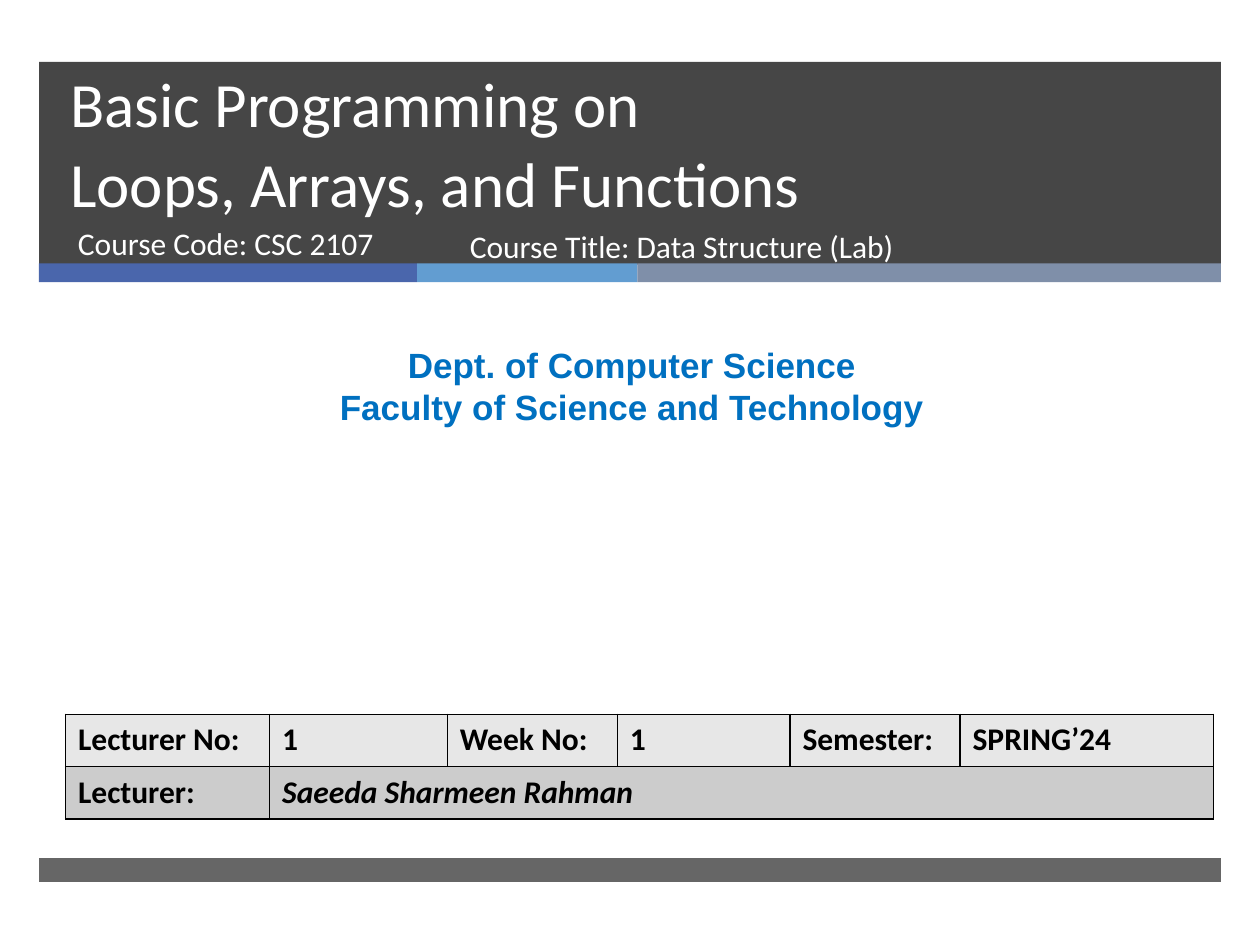
"""Build the opening slide of a data structure lab lecture."""
import pptx
import pptx.util
import pptx.dml.color
import pptx.enum.shapes
import pptx.enum.text
import pptx.oxml.ns
from lxml import etree

Inches, Pt = pptx.util.Inches, pptx.util.Pt
ALIGN, ANCHOR = pptx.enum.text.PP_ALIGN, pptx.enum.text.MSO_ANCHOR
qn = pptx.oxml.ns.qn

COLORS = {"dark": "262626", "blue": "4A66AC", "sky": "629DD1", "slate": "7F8FA9",
          "white": "FFFFFF", "black": "000000", "department": "0070C0",
          "light row": "E7E7E7", "dark row": "CCCCCC"}

MARGIN, BAND_WIDTH = 0.31, 9.38
BANDS = [(0.49, 1.61, 85), (6.81, 0.19, 70)]
STRIPE_TOP, STRIPE_HEIGHT = 2.09, 0.15
STRIPES = [("blue", 3), ("sky", 1.75), ("slate", 4.63)]

HEADINGS = [
    (["Basic Programming on\vLoops, Arrays, and Functions"], (0.46, 0.61, 8.54, 1.19),
     dict(size=36, anchor=ANCHOR.BOTTOM, spacing=46)),
    (["Course Code: CSC 2107"], (0.52, 1.73, 3.05, 0.53), {}),
    (["Dept. of Computer Science", "Faculty of Science and Technology"],
     (0.08, 2.68, 9.87, 0.77),
     dict(size=20, font="Arial", color="department", bold=True, align=ALIGN.CENTER)),
    (["Course Title: Data Structure (Lab)"], (3.63, 1.75, 4.55, 0.53), {}),
]

DETAILS = [["Lecturer No:", "1", "Week No:", "1", "Semester:", "SPRING’24"],
           ["Lecturer:", "Saeeda Sharmeen Rahman"]]
COLUMN_WIDTHS = [1.62, 1.41, 1.35, 1.37, 1.35, 2.01]
ROW_HEIGHT = 0.415


def rgb(name):
    return pptx.dml.color.RGBColor.from_string(COLORS[name])


def write(frame, lines, size=18, font="Calibri", color="white", bold=False, italic=False,
          align=ALIGN.LEFT, anchor=ANCHOR.TOP, spacing=None):
    frame.word_wrap = True
    frame.vertical_anchor = anchor
    for index, line in enumerate(lines):
        paragraph = frame.add_paragraph() if index else frame.paragraphs[0]
        paragraph.text = line
        paragraph.alignment = align
        if spacing:
            paragraph.line_spacing = Pt(spacing)
        for run in paragraph.runs:
            run.font.size, run.font.name = Pt(size), font
            run.font.bold, run.font.italic = bold, italic
            run.font.color.rgb = rgb(color)


def add_bar(left, top, width, height, color, opacity=100):
    bar = slide.shapes.add_shape(pptx.enum.shapes.MSO_SHAPE.RECTANGLE,
                                 *map(Inches, (left, top, width, height)))
    bar.shadow.inherit = False
    bar.line.fill.background()
    bar.fill.solid()
    bar.fill.fore_color.rgb = rgb(color)
    if opacity < 100:
        tint = bar.fill._xPr.find(".//" + qn("a:srgbClr"))
        etree.SubElement(tint, qn("a:alpha"), val=str(opacity * 1000))


def add_borders(cell):
    properties = cell._tc.get_or_add_tcPr()
    for side in ("lnL", "lnR", "lnT", "lnB"):
        border = etree.SubElement(properties, qn("a:" + side), w=str(Pt(1)))
        fill = etree.SubElement(border, qn("a:solidFill"))
        etree.SubElement(fill, qn("a:srgbClr"), val=COLORS["black"])


deck = pptx.Presentation()
deck.slide_width, deck.slide_height = Inches(10), Inches(7.5)
slide = deck.slides.add_slide(deck.slide_layouts[6])

for top, height, opacity in BANDS:
    add_bar(MARGIN, top, BAND_WIDTH, height, "dark", opacity)
stripe_left = MARGIN
for color, width in STRIPES:
    add_bar(stripe_left, STRIPE_TOP, width, STRIPE_HEIGHT, color)
    stripe_left += width

for lines, place, style in HEADINGS:
    heading = slide.shapes.add_textbox(*map(Inches, place))
    write(heading.text_frame, lines, **style)

details = slide.shapes.add_table(
    len(DETAILS), len(COLUMN_WIDTHS), Inches(0.52), Inches(5.67),
    Inches(sum(COLUMN_WIDTHS)), Inches(ROW_HEIGHT * len(DETAILS))).table
for column, width in zip(details.columns, COLUMN_WIDTHS):
    column.width = Inches(width)
for row, values in enumerate(DETAILS):
    details.rows[row].height = Inches(ROW_HEIGHT)
    for column in range(len(COLUMN_WIDTHS)):
        cell = details.cell(row, column)
        add_borders(cell)
        cell.fill.solid()
        cell.fill.fore_color.rgb = rgb("dark row" if row else "light row")
        if column < len(values):
            write(cell.text_frame, [values[column]], color="black", bold=True,
                  italic=row == 1 and column == 1)
details.cell(1, 1).merge(details.cell(1, len(COLUMN_WIDTHS) - 1))

deck.save("out.pptx")
